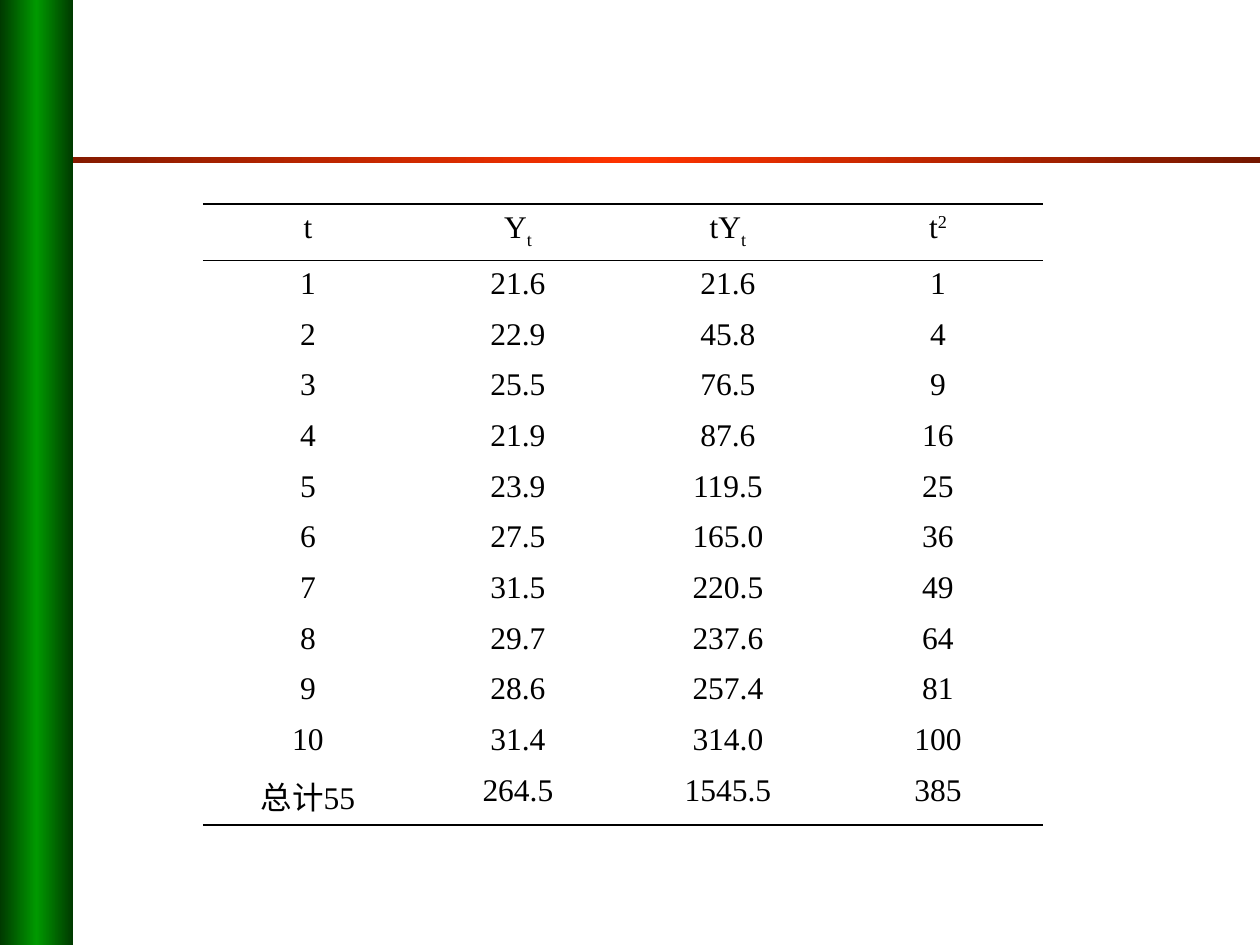
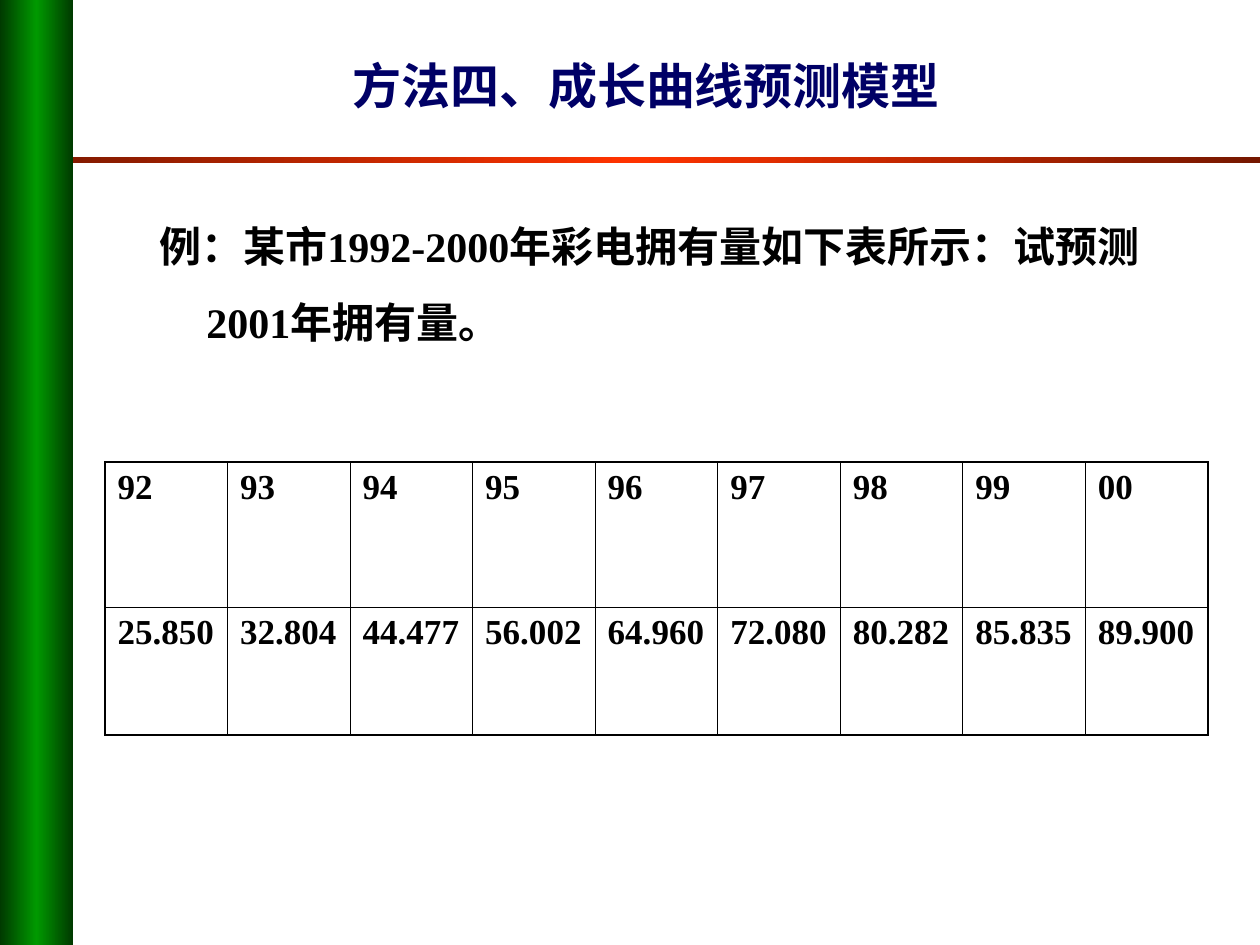
from dataclasses import dataclass

from lxml.etree import SubElement
from pptx import Presentation
from pptx.dml.color import RGBColor as Rgb
from pptx.enum.shapes import MSO_SHAPE as Shape
from pptx.enum.text import MSO_ANCHOR as Anchor, PP_ALIGN as Align
from pptx.oxml.ns import qn
from pptx.util import Pt

# Content: a cell is a string, or a list of (text, baseline percent) parts.
TREND_ROWS = [
    ["t", [("Y", 0), ("t", -25)], [("tY", 0), ("t", -25)], [("t", 0), ("2", 30)]],
    ["1", "21.6", "21.6", "1"],
    ["2", "22.9", "45.8", "4"],
    ["3", "25.5", "76.5", "9"],
    ["4", "21.9", "87.6", "16"],
    ["5", "23.9", "119.5", "25"],
    ["6", "27.5", "165.0", "36"],
    ["7", "31.5", "220.5", "49"],
    ["8", "29.7", "237.6", "64"],
    ["9", "28.6", "257.4", "81"],
    ["10", "31.4", "314.0", "100"],
    ["总计55", "264.5", "1545.5", "385"],
]
GROWTH_TITLE = "方法四、成长曲线预测模型"
GROWTH_EXAMPLE = "例：某市1992-2000年彩电拥有量如下表所示：试预测2001年拥有量。"
OWNERSHIP_ROWS = [
    ["92", "93", "94", "95", "96", "97", "98", "99", "00"],
    ["25.850", "32.804", "44.477", "56.002", "64.960", "72.080", "80.282", "85.835", "89.900"],
]


@dataclass(frozen=True)
class Theme:
    font: str = "Times New Roman"
    ink: str = "000000"
    title_ink: str = "000066"
    rule: tuple = ("751700", "FF3300", "751700")
    band: tuple = ("003A00", "009900", "003A00")
    title_size: int = 28
    body_size: int = 24
    ownership_size: int = 20
    trend_size: int = 18
    heavy: float = 1.08
    thin: float = 0.45


THEME = Theme()
EMU_PER_PX = 914400 / 126
WIDTH, HEIGHT = 1260, 945
BAND_WIDTH = 73


def px(length):
    return round(length * EMU_PER_PX)


def style(paragraph, size, colour=THEME.ink, bold=False):
    for run in paragraph.runs:
        run.font.name = THEME.font
        run.font.size = Pt(size)
        run.font.bold = bold
        run.font.color.rgb = Rgb.from_string(colour)


def add_gradient_bar(slide, box, colours):
    """Add a rectangle whose colours run evenly from left to right."""
    bar = slide.shapes.add_shape(Shape.RECTANGLE, *map(px, box))
    bar.shadow.inherit = False
    bar.line.fill.background()
    bar.fill.gradient()
    bar.fill.gradient_angle = 0
    stops = bar.fill._fill._gradFill.find(qn("a:gsLst"))
    stops.clear()
    for index, colour in enumerate(colours):
        position = 100000 * index // (len(colours) - 1)
        stop = SubElement(stops, qn("a:gs"), pos=str(position))
        SubElement(stop, qn("a:srgbClr"), val=colour)


def add_framed_slide(deck):
    """Add a blank slide with the red rule and the green side band."""
    slide = deck.slides.add_slide(deck.slide_layouts[6])
    add_gradient_bar(slide, (1, 157, WIDTH - 1, 6), THEME.rule)
    add_gradient_bar(slide, (0, 0, BAND_WIDTH, HEIGHT), THEME.band)
    return slide


def add_text(slide, box, text, size, colour=THEME.ink):
    frame = slide.shapes.add_textbox(*map(px, box)).text_frame
    frame.word_wrap = True
    frame.text = text
    style(frame.paragraphs[0], size, colour, bold=True)
    return frame


def fill_cell(cell, content):
    paragraph = cell.text_frame.paragraphs[0]
    if isinstance(content, str):
        paragraph.text = content
        return paragraph
    for text, baseline in content:
        run = paragraph.add_run()
        run.text = text
        if baseline:
            run.font._element.set("baseline", str(baseline * 1000))
    return paragraph


def set_borders(cell, left, right, top, bottom):
    """Draw the cell's sides at these widths in points; 0 hides a side."""
    properties = cell._tc.get_or_add_tcPr()
    for side, width in zip("LRTB", (left, right, top, bottom)):
        line = SubElement(properties, qn(f"a:ln{side}"), w=str(Pt(width)))
        if width:
            fill = SubElement(line, qn("a:solidFill"))
            SubElement(fill, qn("a:srgbClr"), val=THEME.ink)
        else:
            SubElement(line, qn("a:noFill"))


def add_grid(slide, box, rows, heights, row_rules, column_rules,
             size, space, align=Align.LEFT, bold=False):
    """Add a table; each rule list holds one width per grid line."""
    columns = len(rows[0])
    table = slide.shapes.add_table(len(rows), columns, *map(px, box)).table
    table.first_row = table.horz_banding = False
    for column in table.columns:
        column.width = px(box[2] / columns)
    for r, (contents, height) in enumerate(zip(rows, heights)):
        table.rows[r].height = px(height)
        for c, content in enumerate(contents):
            cell = table.cell(r, c)
            paragraph = fill_cell(cell, content)
            paragraph.alignment = align
            paragraph.space_before = Pt(space)
            style(paragraph, size, bold=bold)
            set_borders(cell, *column_rules[c:c + 2], *row_rules[r:r + 2])
            cell.fill.background()


def build_trend_slide(deck):
    slide = add_framed_slide(deck)
    header, body = 56, 558
    entries = len(TREND_ROWS) - 1
    add_grid(
        slide, (203, 204, 840, header + body), TREND_ROWS,
        heights=[header] + [body / entries] * entries,
        row_rules=[THEME.heavy, THEME.thin] + [0] * (entries - 1) + [THEME.heavy],
        column_rules=[0] * (len(TREND_ROWS[0]) + 1),
        size=THEME.trend_size, space=4.5, align=Align.CENTER,
    )


def build_growth_slide(deck):
    slide = add_framed_slide(deck)
    title = add_text(slide, (189, 32, 914, 105), GROWTH_TITLE,
                     THEME.title_size, THEME.title_ink)
    title.vertical_anchor = Anchor.MIDDLE
    title.paragraphs[0].alignment = Align.CENTER

    example = add_text(slide, (147, 189, 1071, 168), GROWTH_EXAMPLE, THEME.body_size)
    paragraph = example.paragraphs[0]
    paragraph.line_spacing = 1.5
    paragraph.space_before = Pt(6)
    hanging = px(47)
    properties = paragraph._p.get_or_add_pPr()
    properties.set("marL", str(hanging))
    properties.set("indent", str(-hanging))

    heights = [145, 128]
    years = len(OWNERSHIP_ROWS[0])
    add_grid(
        slide, (105, 462, 1103, sum(heights)), OWNERSHIP_ROWS, heights,
        row_rules=[THEME.heavy, THEME.thin, THEME.heavy],
        column_rules=[THEME.heavy] + [THEME.thin] * (years - 1) + [THEME.heavy],
        size=THEME.ownership_size, space=5, bold=True,
    )


def main():
    deck = Presentation()
    deck.slide_width, deck.slide_height = px(WIDTH), px(HEIGHT)
    build_trend_slide(deck)
    build_growth_slide(deck)
    deck.save("out.pptx")


if __name__ == "__main__":
    main()
